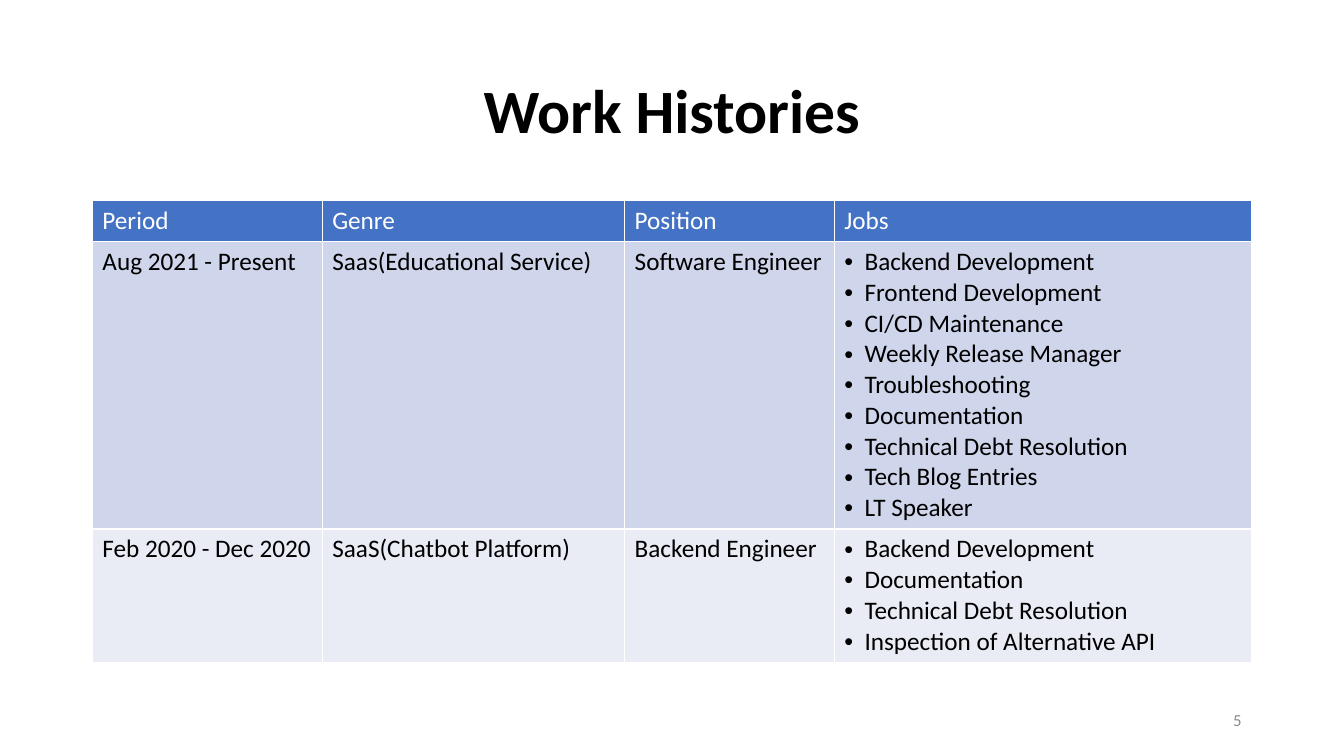
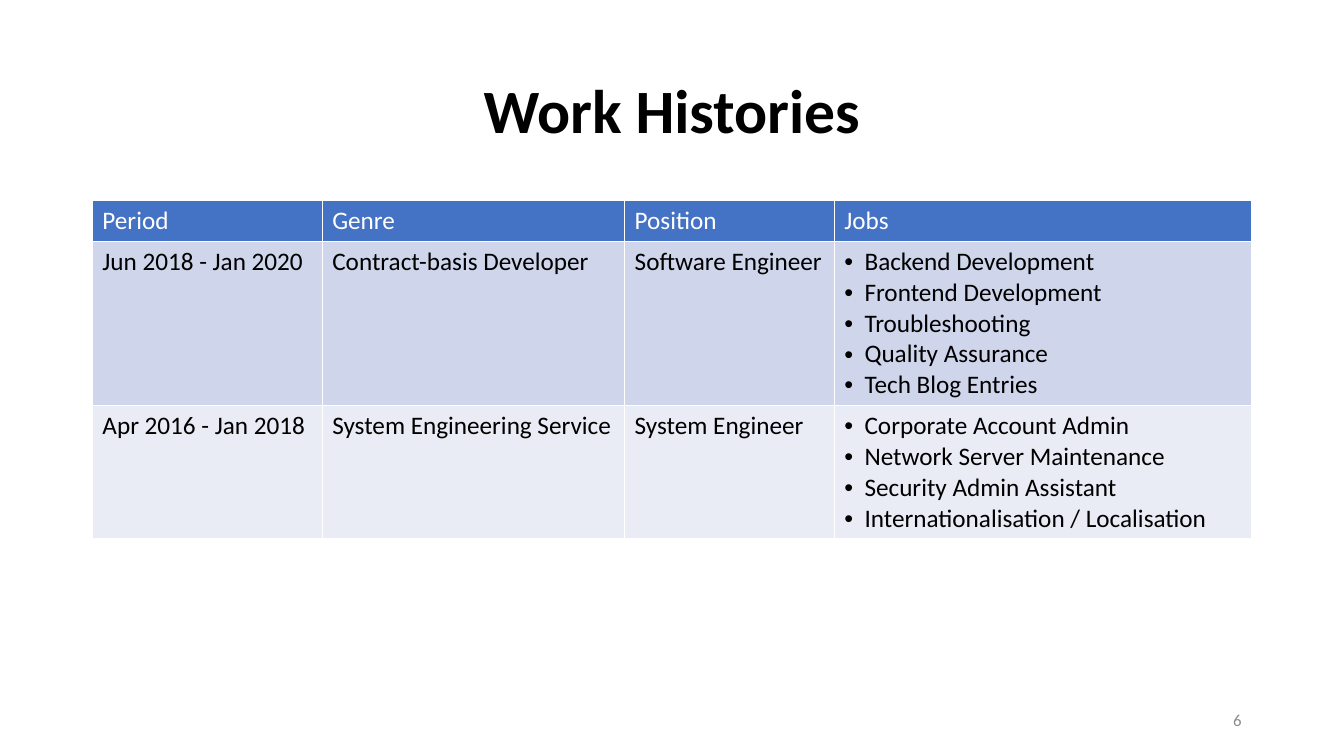
from dataclasses import dataclass

import pptx
import pptx.dml.color
import pptx.enum.text
import pptx.oxml.ns
import pptx.slide
import pptx.table
import pptx.text.text
import pptx.util
from lxml import etree

Pt = pptx.util.Pt
PP_ALIGN = pptx.enum.text.PP_ALIGN
MSO_ANCHOR = pptx.enum.text.MSO_ANCHOR
qn = pptx.oxml.ns.qn

COLORS = {
    "text": "000000",
    "header_text": "FFFFFF",
    "page_number": "8C8C8C",
    "border": "FFFFFF",
    "header": "4472C4",
    "odd_row": "CFD5EA",
    "even_row": "E9EBF5",
}
FONT = "Calibri"
TITLE = "Work Histories"
HEADINGS = ("Period", "Genre", "Position", "Jobs")
COLUMN_WIDTHS = (164.2, 216, 149.8, 298)
LEFT, TABLE_TOP = 66, 143.4
CONTENT_WIDTH = sum(COLUMN_WIDTHS)
LINE_HEIGHT, CELL_PADDING = 22, 7.2
BULLET_INDENT = 14.4


@dataclass(frozen=True)
class Employment:
    period: str
    genre: str
    position: str
    jobs: tuple[str, ...]


@dataclass(frozen=True)
class HistoryPage:
    number: int
    employments: tuple[Employment, ...]


PAGES = (
    HistoryPage(5, (
        Employment("Aug 2021 - Present", "Saas(Educational Service)", "Software Engineer", (
            "Backend Development", "Frontend Development", "CI/CD Maintenance",
            "Weekly Release Manager", "Troubleshooting", "Documentation",
            "Technical Debt Resolution", "Tech Blog Entries", "LT Speaker")),
        Employment("Feb 2020 - Dec 2020", "SaaS(Chatbot Platform)", "Backend Engineer", (
            "Backend Development", "Documentation", "Technical Debt Resolution",
            "Inspection of Alternative API")),
    )),
    HistoryPage(6, (
        Employment("Jun 2018 - Jan 2020", "Contract-basis Developer", "Software Engineer", (
            "Backend Development", "Frontend Development", "Troubleshooting",
            "Quality Assurance", "Tech Blog Entries")),
        Employment("Apr 2016 - Jan 2018", "System Engineering Service", "System Engineer", (
            "Corporate Account Admin", "Network Server Maintenance",
            "Security Admin Assistant", "Internationalisation / Localisation")),
    )),
)


def rgb(name: str) -> pptx.dml.color.RGBColor:
    return pptx.dml.color.RGBColor.from_string(COLORS[name])


def add_run(paragraph: pptx.text.text._Paragraph, text: str, size: float,
            color: str, bold: bool = False) -> None:
    run = paragraph.add_run()
    run.text = text
    run.font.name = FONT
    run.font.size = Pt(size)
    run.font.bold = bold
    run.font.color.rgb = rgb(color)


def add_label(slide: pptx.slide.Slide, box: tuple[float, float, float, float], text: str,
              size: float, color: str, align: PP_ALIGN, bold: bool = False) -> None:
    frame = slide.shapes.add_textbox(*map(Pt, box)).text_frame
    frame.word_wrap = True
    frame.vertical_anchor = MSO_ANCHOR.MIDDLE
    paragraph = frame.paragraphs[0]
    paragraph.alignment = align
    paragraph.line_spacing = 0.9
    add_run(paragraph, text, size, color, bold)


def add_bullet(paragraph: pptx.text.text._Paragraph) -> None:
    properties = paragraph._p.get_or_add_pPr()
    properties.set("marL", str(Pt(BULLET_INDENT)))
    properties.set("indent", str(-Pt(BULLET_INDENT)))
    etree.SubElement(properties, qn("a:buFont"), typeface="Arial")
    etree.SubElement(properties, qn("a:buChar"), char="•")


def add_borders(cell: pptx.table._Cell) -> None:
    properties = cell._tc.get_or_add_tcPr()
    for side in ("a:lnL", "a:lnR", "a:lnT", "a:lnB"):
        line = etree.SubElement(properties, qn(side), w=str(Pt(1)))
        fill = etree.SubElement(line, qn("a:solidFill"))
        etree.SubElement(fill, qn("a:srgbClr"), val=COLORS["border"])


def fill_cell(cell: pptx.table._Cell, lines: tuple[str, ...], fill: str,
              color: str, bulleted: bool) -> None:
    add_borders(cell)
    cell.fill.solid()
    cell.fill.fore_color.rgb = rgb(fill)
    frame = cell.text_frame
    for index, line in enumerate(lines):
        paragraph = frame.add_paragraph() if index else frame.paragraphs[0]
        if bulleted:
            add_bullet(paragraph)
        add_run(paragraph, line, 18, color)


def add_history_table(slide: pptx.slide.Slide, employments: tuple[Employment, ...]) -> None:
    rows = [tuple((heading,) for heading in HEADINGS)]
    rows += [((job.period,), (job.genre,), (job.position,), job.jobs) for job in employments]
    heights = [CELL_PADDING + LINE_HEIGHT * max(map(len, row)) for row in rows]
    table = slide.shapes.add_table(
        len(rows), len(HEADINGS), Pt(LEFT), Pt(TABLE_TOP),
        Pt(CONTENT_WIDTH), Pt(sum(heights))).table
    for column, width in zip(table.columns, COLUMN_WIDTHS):
        column.width = Pt(width)
    for row_index, (row, height) in enumerate(zip(rows, heights)):
        table.rows[row_index].height = Pt(height)
        is_header = row_index == 0
        fill = "header" if is_header else "odd_row" if row_index % 2 else "even_row"
        color = "header_text" if is_header else "text"
        for column_index, lines in enumerate(row):
            bulleted = not is_header and HEADINGS[column_index] == "Jobs"
            fill_cell(table.cell(row_index, column_index), lines, fill, color, bulleted)


def main() -> None:
    deck = pptx.Presentation()
    deck.slide_width, deck.slide_height = Pt(960), Pt(540)
    for page in PAGES:
        slide = deck.slides.add_slide(deck.slide_layouts[6])
        add_label(slide, (678, 500.5, 216, 28.8), str(page.number), 12,
                  "page_number", PP_ALIGN.RIGHT)
        add_label(slide, (LEFT, 28.8, CONTENT_WIDTH, 104.4), TITLE, 44,
                  "text", PP_ALIGN.CENTER, bold=True)
        add_history_table(slide, page.employments)
    deck.save("out.pptx")


if __name__ == "__main__":
    main()
